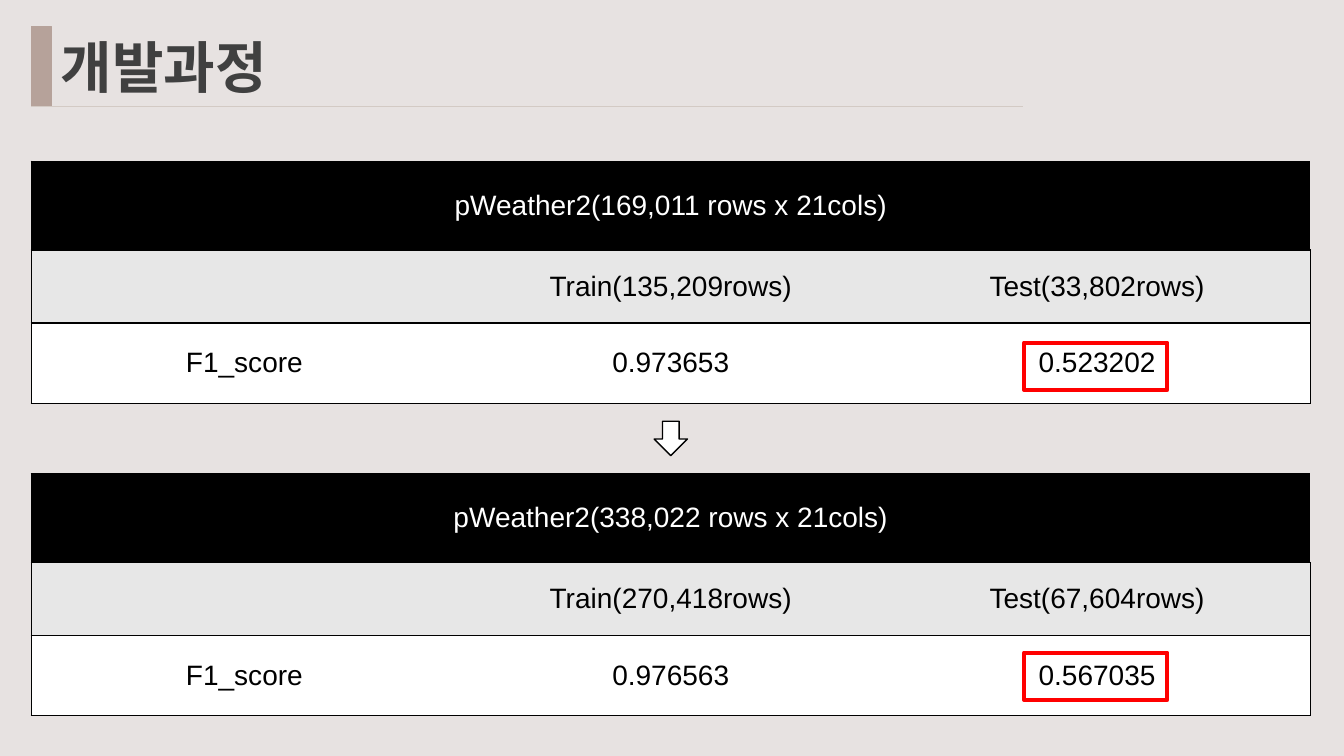
import pptx
import pptx.dml.color
import pptx.enum.shapes
import pptx.enum.text
import pptx.oxml
import pptx.oxml.ns
import pptx.util
from lxml import etree

COLORS = {
    "background": "E7E2E1",
    "accent": "B6A29A",
    "rule": "D3CAC4",
    "title": "404040",
    "black": "000000",
    "white": "FFFFFF",
    "band": "E7E7E7",
    "highlight": "FF0000",
}
SHAPES = pptx.enum.shapes.MSO_SHAPE
CENTER = pptx.enum.text.PP_ALIGN.CENTER
LEFT = pptx.enum.text.PP_ALIGN.LEFT
MIDDLE = pptx.enum.text.MSO_ANCHOR.MIDDLE


def rgb(color):
    return pptx.dml.color.RGBColor.from_string(COLORS[color])


class ScorePage:
    columns, rows = 133.33, 75
    body_font, title_font = "Arial", "Noto Sans CJK KR"

    def __init__(self, deck):
        self.unit_x = deck.slide_width / self.columns
        self.unit_y = deck.slide_height / self.rows
        self.slide = deck.slides.add_slide(deck.slide_layouts[6])
        self.slide.background.fill.solid()
        self.slide.background.fill.fore_color.rgb = rgb("background")

    def place(self, x, y, width, height):
        return (round(x * self.unit_x), round(y * self.unit_y),
                round(width * self.unit_x), round(height * self.unit_y))

    def shape(self, preset, box, line, weight, fill=None):
        shape = self.slide.shapes.add_shape(preset, *self.place(*box))
        shape.shadow.inherit = False
        if fill:
            shape.fill.solid()
            shape.fill.fore_color.rgb = rgb(fill)
        else:
            shape.fill.background()
        shape.line.color.rgb = rgb(line)
        shape.line.width = pptx.util.Pt(weight)

    def rule(self, x, y, width, color, weight):
        left, top, length, _ = self.place(x, y, width, 0)
        rule = self.slide.shapes.add_connector(
            pptx.enum.shapes.MSO_CONNECTOR.STRAIGHT, left, top, left + length, top)
        rule.line.color.rgb = rgb(color)
        rule.line.width = pptx.util.Pt(weight)
        etree.SubElement(rule._element.spPr, pptx.oxml.ns.qn("a:effectLst"))

    def set_text(self, frame, text, font, size, color, align, bold=False):
        paragraph = frame.paragraphs[0]
        paragraph.text = text
        paragraph.alignment = align
        paragraph.font.name = font
        paragraph.font.size = pptx.util.Pt(size)
        paragraph.font.bold = bold
        paragraph.font.color.rgb = rgb(color)
        latin = paragraph._p.find(".//" + pptx.oxml.ns.qn("a:latin"))
        east_asian = etree.Element(pptx.oxml.ns.qn("a:ea"), typeface=font)
        latin.addnext(east_asian)

    def title(self, text, box):
        title = self.slide.shapes.add_textbox(*self.place(*box))
        title.text_frame.word_wrap = True
        title.text_frame.vertical_anchor = MIDDLE
        self.set_text(title.text_frame, text, self.title_font, 40, "title", LEFT, True)

    def borders(self, cell, sides):
        properties = cell._tc.get_or_add_tcPr()
        for position, side in enumerate("LRTB"):
            paint = (f'<a:solidFill><a:srgbClr val="{COLORS["black"]}"/></a:solidFill>'
                     if side in sides else "<a:noFill/>")
            properties.insert(position, pptx.oxml.parse_xml(
                f'<a:ln{side} {pptx.oxml.ns.nsdecls("a")} w="12700">{paint}</a:ln{side}>'))

    def score_table(self, box, row_heights, content):
        last = len(content[0]) - 1
        table = self.slide.shapes.add_table(
            len(content), last + 1, *self.place(*box)).table
        table.first_row = table.horz_banding = False
        looks = [("black", "white"), ("band", "black"), ("white", "black")]
        table.cell(0, 0).merge(table.cell(0, last))
        for r, (texts, (fill, ink)) in enumerate(zip(content, looks)):
            table.rows[r].height = round(row_heights[r] * self.unit_y)
            for c, text in enumerate(texts):
                cell = table.cell(r, c)
                cell.vertical_anchor = MIDDLE
                cell.fill.solid()
                cell.fill.fore_color.rgb = rgb(fill)
                self.borders(cell, "TB" + "L" * (c == 0) + "R" * (c == last))
                if text:
                    self.set_text(cell.text_frame, text, self.body_font, 20, ink, CENTER)


def main():
    deck = pptx.Presentation()
    deck.slide_width = pptx.util.Inches(13.33)
    deck.slide_height = pptx.util.Inches(7.5)
    page = ScorePage(deck)

    margin = 3.1
    page.shape(SHAPES.RECTANGLE, (margin, 2.65, 2, 7.9), "accent", 1, "accent")
    page.rule(margin, 10.55, 98.4, "rule", 0.5)
    page.title("개발과정", (5.05, 2.65, 96.5, 7.9))

    experiments = [
        (16, 34, "169,011", "135,209", "33,802", "0.973653", "0.523202"),
        (47, 64.75, "338,022", "270,418", "67,604", "0.976563", "0.567035"),
    ]
    for top, mark_top, total, train, test, train_score, test_score in experiments:
        page.score_table((margin, top, 126.9, 24), (8.8, 7.25, 7.95), [
            (f"pWeather2({total} rows x 21cols)", "", ""),
            ("", f"Train({train}rows)", f"Test({test}rows)"),
            ("F1_score", train_score, test_score),
        ])
        page.shape(SHAPES.RECTANGLE, (101.6, mark_top, 14.2, 4.7), "highlight", 3)

    page.shape(SHAPES.DOWN_ARROW, (64.9, 41.8, 3.3, 3.4), "black", 1, "white")
    deck.save("out.pptx")


if __name__ == "__main__":
    main()
